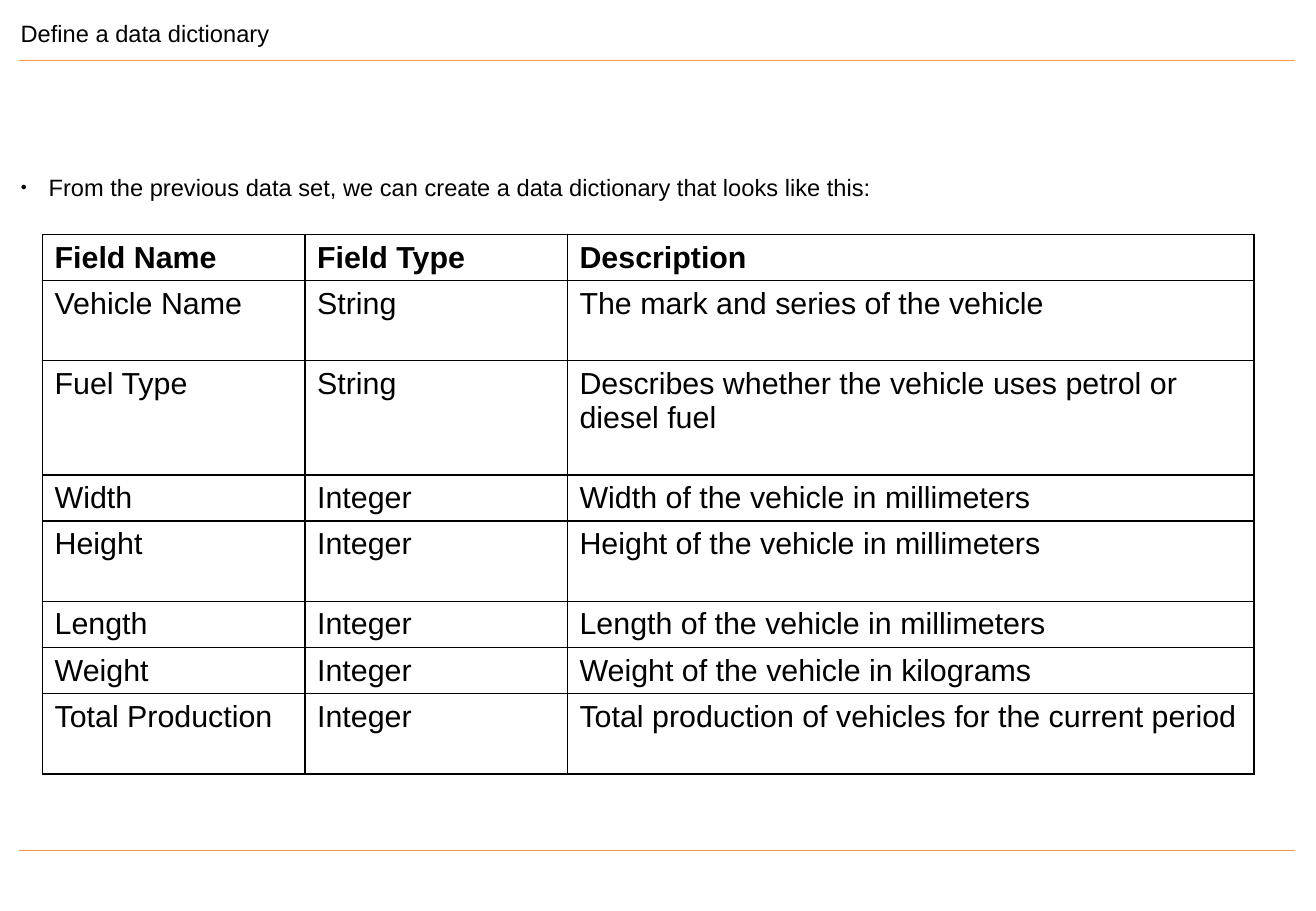
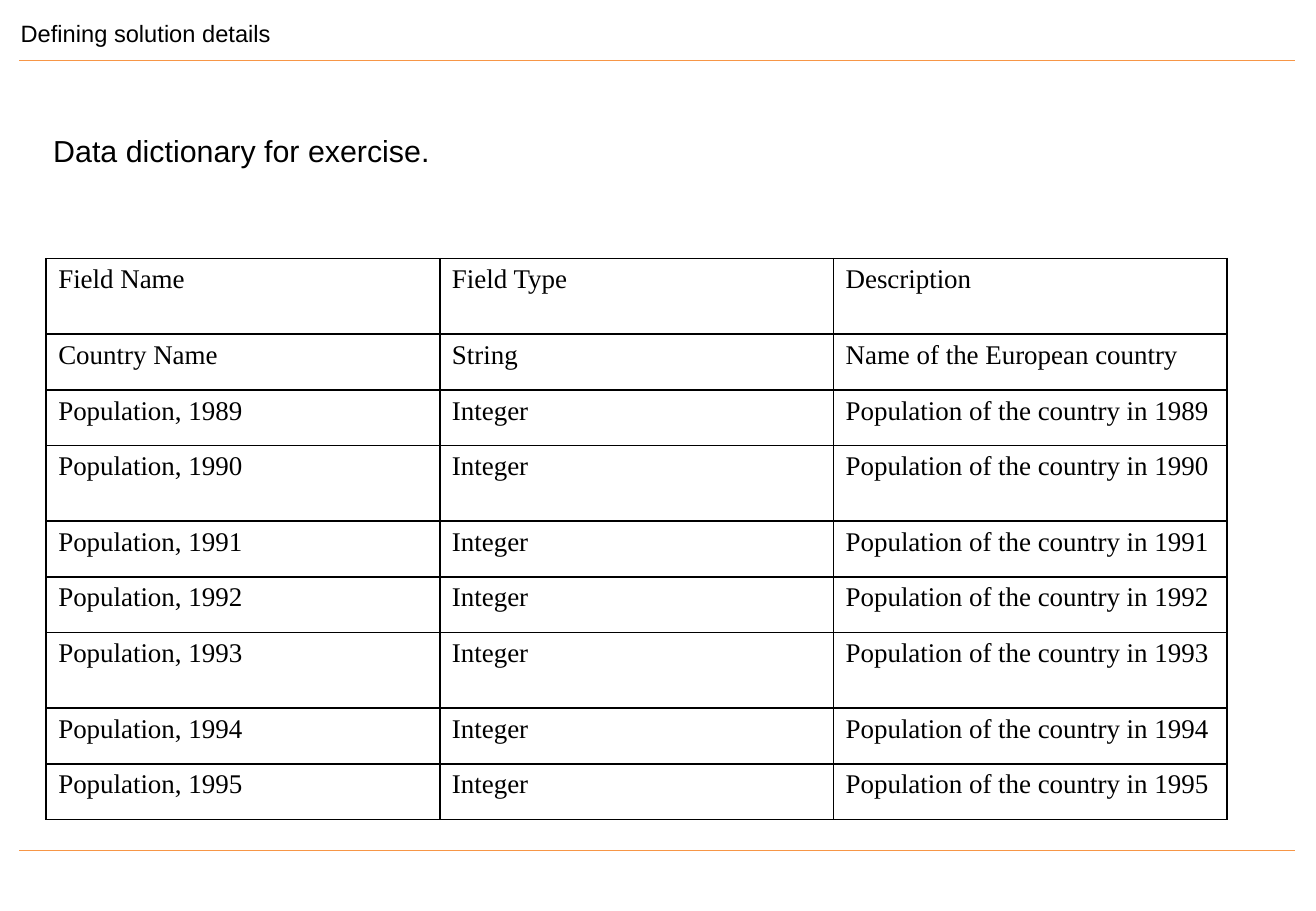
from lxml import etree
from pptx import Presentation
from pptx import util as u
from pptx.dml.color import RGBColor
from pptx.enum import shapes, text
from pptx.oxml.ns import qn

# Shared style
BLACK = RGBColor(0x00, 0x00, 0x00)
ORANGE = RGBColor(0xF7, 0x96, 0x46)
SANS, SERIF = "Arial", "Times New Roman"
MARGIN, CONTENT_WIDTH = 0.17, 10.5
FLUSH = dict(margin_left=0, margin_top=0, margin_right=0, margin_bottom=0,
             word_wrap=True, auto_size=text.MSO_AUTO_SIZE.NONE)
LEFT_TIGHT = dict(alignment=text.PP_ALIGN.LEFT, space_before=u.Pt(0))


def set_values(target, values):
    for name, value in values.items():
        setattr(target, name, value)


def box(left, top, width, height):
    return dict(left=u.Inches(left), top=u.Inches(top),
                width=u.Inches(width), height=u.Inches(height))


class Deck:
    """Holds the shared style and the current slide."""

    def __init__(self):
        self.prs = Presentation()
        set_values(self.prs, dict(slide_width=u.Inches(10.83),
                                  slide_height=u.Inches(7.5)))
        self.slide = None

    def new_slide(self, layout, title):
        first = self.slide is None
        self.slide = self.prs.slides.add_slide(self.prs.slide_layouts[layout])
        if first:
            self.master_rules()
        heading = self.slide.shapes.title
        set_values(heading, box(MARGIN, 0.07, CONTENT_WIDTH, 0.41))
        self.put_text(heading.text_frame, title, 14,
                      frame=dict(FLUSH, vertical_anchor=text.MSO_ANCHOR.MIDDLE))

    def master_rules(self):
        """Draw the two rules once and move them to the slide master."""
        master_tree = self.prs.slide_master.shapes.element
        for number, y in enumerate((0.5, 7), start=20):
            rule = self.slide.shapes.add_connector(
                shapes.MSO_CONNECTOR.STRAIGHT, u.Inches(0.16), u.Inches(y),
                u.Inches(10.66), u.Inches(y))
            rule.line.color.rgb = ORANGE
            rule.line.width = u.Pt(0.74)
            etree.SubElement(rule.element.spPr, qn("a:effectLst"))
            rule.element.nvCxnSpPr.cNvPr.set("id", str(number))
            master_tree.insert_element_before(rule.element, "p:extLst")

    def put_text(self, text_frame, words, size, font=SANS, bold=False,
                 frame=None):
        set_values(text_frame, frame or {})
        paragraph = text_frame.paragraphs[0]
        set_values(paragraph, LEFT_TIGHT)
        run = paragraph.add_run()
        run.text = words
        set_values(run.font, dict(name=font, size=u.Pt(size), bold=bold))
        run.font.color.rgb = BLACK
        return paragraph

    def bullet(self, words, place):
        body = self.slide.placeholders[1]
        set_values(body, place)
        point = self.put_text(body.text_frame, words, 14, frame=dict(
            FLUSH, vertical_anchor=text.MSO_ANCHOR.TOP))
        props = point._p.get_or_add_pPr()
        props.set("marL", str(u.Inches(0.23)))
        props.set("indent", str(u.Inches(-0.23)))
        etree.SubElement(props, qn("a:buSzPct"), val="45000")
        etree.SubElement(props, qn("a:buChar"), char="●")

    def caption(self, words, place):
        label = self.slide.shapes.add_textbox(**place)
        self.put_text(label.text_frame, words, 18, frame=dict(word_wrap=True))

    def table(self, left, top, widths, heights, rows, size, font, bold_header):
        grid = self.slide.shapes.add_table(
            len(rows), len(widths),
            **box(left, top, sum(widths), sum(heights))).table
        set_values(grid, dict(first_row=bold_header, horz_banding=False))
        for column, width in zip(grid.columns, widths):
            column.width = u.Inches(width)
        for r, (row, height) in enumerate(zip(rows, heights)):
            grid.rows[r].height = u.Inches(height)
            for c, words in enumerate(row):
                cell = grid.cell(r, c)
                self.put_text(cell.text_frame, words, size, font,
                              bold=bold_header and r == 0)
                self.border(cell)
                cell.fill.background()

    def border(self, cell):
        props = cell._tc.get_or_add_tcPr()
        for side in ("a:lnL", "a:lnR", "a:lnT", "a:lnB"):
            edge = etree.SubElement(props, qn(side), w=str(u.Pt(1)))
            fill = etree.SubElement(edge, qn("a:solidFill"))
            etree.SubElement(fill, qn("a:srgbClr"), val=str(BLACK))


deck = Deck()
header = ("Field Name", "Field Type", "Description")

# Slide 1: vehicle data dictionary
vehicle_fields = [
    header,
    ("Vehicle Name", "String", "The mark and series of the vehicle"),
    ("Fuel Type", "String",
     "Describes whether the vehicle uses petrol or diesel fuel"),
    ("Width", "Integer", "Width of the vehicle in millimeters"),
    ("Height", "Integer", "Height of the vehicle in millimeters"),
    ("Length", "Integer", "Length of the vehicle in millimeters"),
    ("Weight", "Integer", "Weight of the vehicle in kilograms"),
    ("Total Production", "Integer",
     "Total production of vehicles for the current period"),
]
deck.new_slide(1, "Define a data dictionary")
deck.bullet("From the previous data set, we can create a data dictionary "
            "that looks like this:", box(MARGIN, 1.42, CONTENT_WIDTH, 5.33))
one_line, two_lines, three_lines = 0.38, 0.66, 0.94
deck.table(0.35, 1.93, (2.16, 2.16, 5.65),
           (one_line, two_lines, three_lines, one_line,
            two_lines, one_line, one_line, two_lines),
           vehicle_fields, 18, SANS, bold_header=True)

# Slide 2: population data dictionary
population_fields = [
    header,
    ("Country Name", "String", "Name of the European country"),
    *((f"Population, {year}", "Integer",
       f"Population of the country in {year}") for year in range(1989, 1996)),
]
deck.new_slide(5, "Defining solution details")
deck.table(0.38, 2.13, [3.24] * 3, [0.62, 0.46, 0.46] * 3,
           population_fields, 16, SERIF, bold_header=False)
deck.caption("Data dictionary for exercise.", box(0.34, 1.04, 3.36, 0.38))

deck.prs.save("out.pptx")
